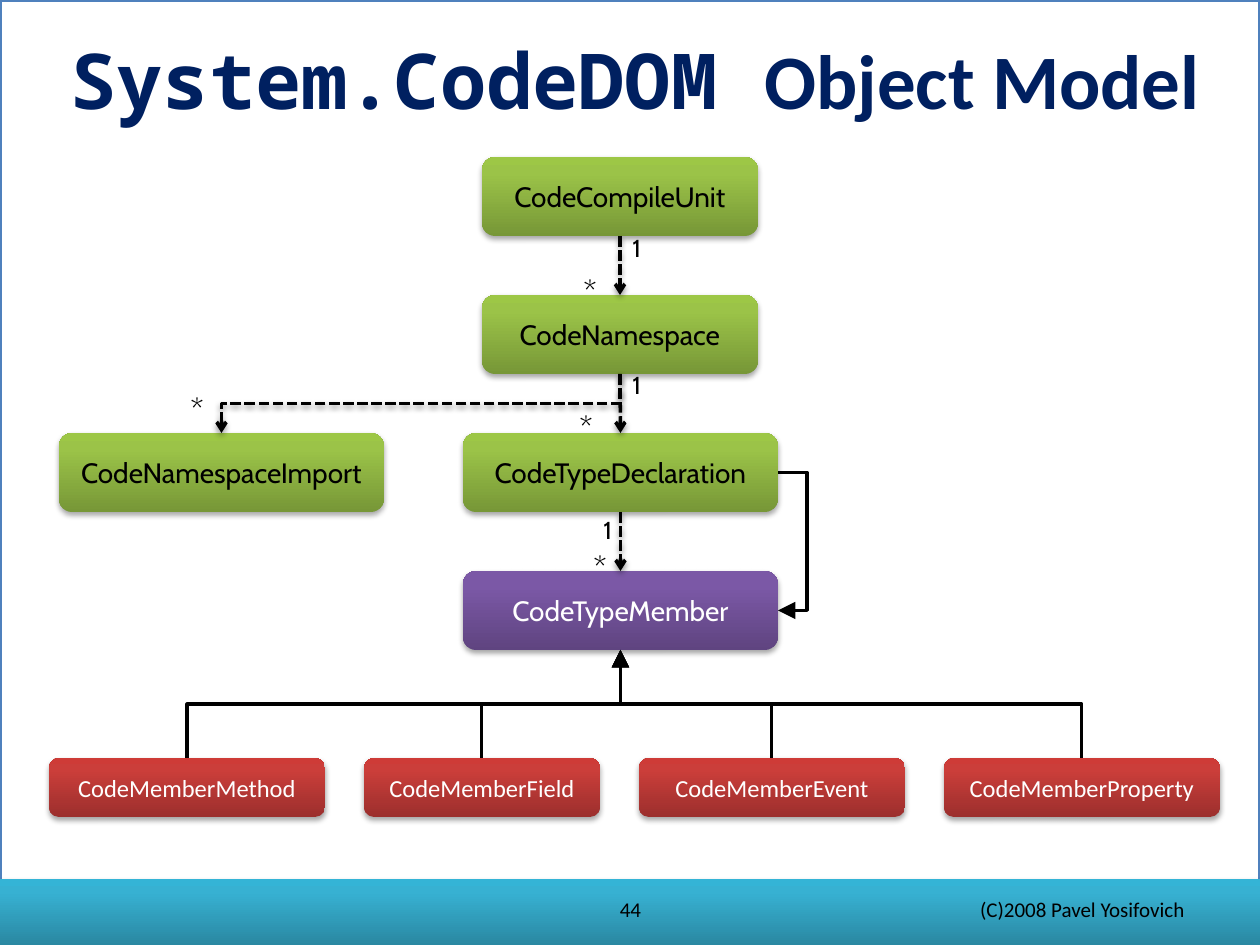
from copy import deepcopy
from dataclasses import dataclass

from pptx import Presentation
from pptx import util as u
from pptx.dml.color import RGBColor
from pptx.enum import dml, shapes, text
from pptx.oxml import parse_xml
from pptx.oxml.ns import nsdecls

SCALE = u.Inches(1) / 126  # EMU in one px
TOP, BOTTOM = 0, 2  # connection sites
ALIGN, ANCHOR = text.PP_ALIGN, text.MSO_ANCHOR


@dataclass(frozen=True)
class Theme:
    white: str = "FFFFFF"
    black: str = "000000"
    navy: str = "002060"
    border: str = "4F81BD"
    # gradients run from bottom to top
    teal: tuple = ("2A88A2", "37B1D2", "34B4D6")
    green: tuple = ("779737", "9BC348", "9DC746")
    purple: tuple = ("5F4480", "7B58A6", "7C57A8")
    red: tuple = ("9C2F2D", "CB3E3A", "CE3B37")
    sans: str = "Calibri"
    diagram: str = "Cabin"
    mono: str = "Noto Sans Mono"
    title: int = 44
    many: int = 18
    node: int = 16
    small: int = 14
    footer: int = 12


THEME = Theme()


def px(length):
    return u.Emu(round(length * SCALE))


def write(paragraph, words, *, size, font, color=THEME.black, bold=False, align=None):
    if align is not None:
        paragraph.alignment = align
    run = paragraph.add_run()
    run.text = words
    run.font.size, run.font.name, run.font.bold = u.Pt(size), font, bold
    run.font.color.rgb = RGBColor.from_string(color)


def set_effects(item, alpha=None, distance=23000):
    """Replace inherited effects by a soft shadow, or by none without alpha."""
    shadow = "" if alpha is None else (
        f'<a:outerShdw blurRad="40000" dist="{distance}" dir="5400000" rotWithShape="0">'
        f'<a:srgbClr val="000000"><a:alpha val="{alpha * 1000}"/></a:srgbClr></a:outerShdw>')
    item._element.spPr.append(
        parse_xml(f'<a:effectLst {nsdecls("a")}>{shadow}</a:effectLst>'))


def fill_gradient(shape, colors):
    shape.fill.gradient()
    shape.fill.gradient_angle = 90
    stop_list = shape._element.spPr.xpath("a:gradFill/a:gsLst")[0]
    stop_list.append(deepcopy(stop_list[0]))
    for stop, position, color in zip(shape.fill.gradient_stops, (0, 0.8, 1), colors):
        stop.position = position
        stop.color.rgb = RGBColor.from_string(color)


def add_block(slide, box, colors, kind=shapes.MSO_SHAPE.ROUNDED_RECTANGLE):
    block = slide.shapes.add_shape(kind, *map(px, box))
    fill_gradient(block, colors)
    block.line.fill.background()
    set_effects(block, alpha=35)
    return block


def add_node(slide, box, words, colors, **style):
    node = add_block(slide, box, colors)
    frame = node.text_frame
    frame.vertical_anchor = ANCHOR.MIDDLE
    write(frame.paragraphs[0], words, align=ALIGN.CENTER, **style)
    return node


def add_label(slide, box, words, *, wrap=False, **style):
    label = slide.shapes.add_textbox(*map(px, box))
    frame = label.text_frame
    frame.word_wrap = wrap
    if wrap:
        frame.vertical_anchor = ANCHOR.MIDDLE
    else:
        frame.auto_size = text.MSO_AUTO_SIZE.SHAPE_TO_FIT_TEXT
    write(frame.paragraphs[0], words, **style)


def style_arrow(item, dashed=False):
    """Dashed with an open head for containment, solid with a large head for inheritance."""
    item.line.color.rgb = RGBColor.from_string(THEME.black)
    item.line.width = u.Pt(2 if dashed else 1.75)
    if dashed:
        item.line.dash_style = dml.MSO_LINE.SQUARE_DOT
    head = 'type="arrow"' if dashed else 'type="triangle" w="lg" len="lg"'
    item.line._get_or_add_ln().append(
        parse_xml(f'<a:tailEnd {nsdecls("a")} {head}/>'))
    if dashed:
        set_effects(item, alpha=38, distance=20000)
    else:
        set_effects(item)


def link(slide, start, end, sites=(BOTTOM, TOP), *, elbow=False, dashed=False):
    kind = shapes.MSO_CONNECTOR.ELBOW if elbow else shapes.MSO_CONNECTOR.STRAIGHT
    connector = slide.shapes.add_connector(kind, 0, 0, 0, 0)
    connector.begin_connect(start, sites[0])
    connector.end_connect(end, sites[1])
    style_arrow(connector, dashed)
    if elbow:
        turn_upright(connector)


def turn_upright(connector):
    """Turn an elbow by 90 degrees so that it leaves and arrives vertically."""
    x1, y1 = connector.begin_x, connector.begin_y
    x2, y2 = connector.end_x, connector.end_y
    width, height = abs(y2 - y1), abs(x2 - x1)
    connector.left = u.Emu((x1 + x2 - width) // 2)
    connector.top = u.Emu((y1 + y2 - height) // 2)
    connector.width, connector.height = u.Emu(width), u.Emu(height)
    transform = connector._element.spPr.xfrm
    transform.set("rot", "5400000")
    transform.set("flipH", str(int(y2 < y1)))
    transform.set("flipV", str(int(x2 > x1)))


def loop_right(slide, start, end, reach):
    """Draw an arrow between two right sides that bulges outwards by reach px."""
    side = start.left + start.width
    outside = side + px(reach)
    y1, y2 = (node.top + node.height // 2 for node in (start, end))
    builder = slide.shapes.build_freeform(side, y1)
    builder.add_line_segments([(outside, y1), (outside, y2), (side, y2)], close=False)
    loop = builder.convert_to_shape()
    loop.fill.background()
    style_arrow(loop)


def draw_backdrop(slide, box):
    left, top, width, height = box
    page = slide.shapes.add_shape(shapes.MSO_SHAPE.RECTANGLE, *map(px, box))
    page.fill.solid()
    page.fill.fore_color.rgb = RGBColor.from_string(THEME.white)
    page.line.color.rgb = RGBColor.from_string(THEME.border)
    page.line.width = u.Pt(2)
    page.shadow.inherit = False
    band = 66
    add_block(slide, (left, top + height - band, width, band), THEME.teal,
              shapes.MSO_SHAPE.RECTANGLE)


def draw_title(slide, box):
    title = slide.shapes.title
    slide.shapes._spTree.append(title._element)  # in front of the backdrop
    title.left, title.top, title.width, title.height = map(px, box)
    frame = title.text_frame
    frame.auto_size = text.MSO_AUTO_SIZE.NONE
    frame.vertical_anchor = ANCHOR.MIDDLE
    for words, font in (("System.CodeDOM ", THEME.mono), ("Object Model", THEME.sans)):
        write(frame.paragraphs[0], words, size=THEME.title, font=font,
              color=THEME.navy, bold=True, align=ALIGN.CENTER)


def draw_containment(slide, box):
    """Draw the column of containers and return the type member at its foot."""
    left, top, width, height = box
    node_height = 79
    pitch = (height - node_height) // 3
    axis = left + 561

    def place(words, row, node_width, center=axis, colors=THEME.green, color=THEME.black):
        node_box = (center - node_width // 2, top + row * pitch, node_width, node_height)
        return add_node(slide, node_box, words, colors, size=THEME.node,
                        font=THEME.diagram, color=color)

    unit = place("CodeCompileUnit", 0, 276)
    namespace = place("CodeNamespace", 1, 276)
    imported = place("CodeNamespaceImport", 2, 325, center=left + 162)
    declaration = place("CodeTypeDeclaration", 2, 315)
    member = place("CodeTypeMember", 3, 315, colors=THEME.purple, color=THEME.white)

    for start, end in ((unit, namespace), (namespace, declaration), (declaration, member)):
        link(slide, start, end, dashed=True)
    link(slide, namespace, imported, elbow=True, dashed=True)
    loop_right(slide, declaration, member, 29)

    for x, y in ((119, 227), (508, 245), (512, 109), (522, 385)):
        add_label(slide, (left + x, top + y, 43, 50), "*", size=THEME.many, font=THEME.diagram)
    for x, y in ((561, 70), (561, 207), (532, 352)):
        add_label(slide, (left + x, top + y, 39, 43), "1", size=THEME.small, font=THEME.diagram)
    return member


def draw_members(slide, box, parent):
    left, top, width, height = box
    members = {"CodeMemberMethod": 276, "CodeMemberField": 236,
               "CodeMemberEvent": 266, "CodeMemberProperty": 276}
    gap = (width - sum(members.values())) // (len(members) - 1)
    for words, node_width in members.items():
        node = add_node(slide, (left, top, node_width, height), words, THEME.red,
                        size=THEME.small, font=THEME.sans, color=THEME.white)
        link(slide, node, parent, (TOP, BOTTOM), elbow=True)
        left += node_width + gap


def draw_footer(slide, box):
    left, top, width, height = box
    style = dict(wrap=True, size=THEME.footer, font=THEME.sans)
    add_label(slide, (left, top, 399, height), "44", align=ALIGN.CENTER, **style)
    add_label(slide, (left + width - 294, top, 294, height), "(C)2008 Pavel Yosifovich",
              align=ALIGN.RIGHT, **style)


def main():
    presentation = Presentation()
    presentation.slide_width, presentation.slide_height = px(1260), px(945)
    slide = presentation.slides.add_slide(presentation.slide_layouts[5])
    draw_backdrop(slide, (0, 0, 1260, 945))
    draw_title(slide, (25, 21, 1221, 115))
    member = draw_containment(slide, (59, 157, 719, 493))
    draw_members(slide, (49, 758, 1171, 59), member)
    draw_footer(slide, (431, 892, 766, 34))
    presentation.save("out.pptx")


if __name__ == "__main__":
    main()
